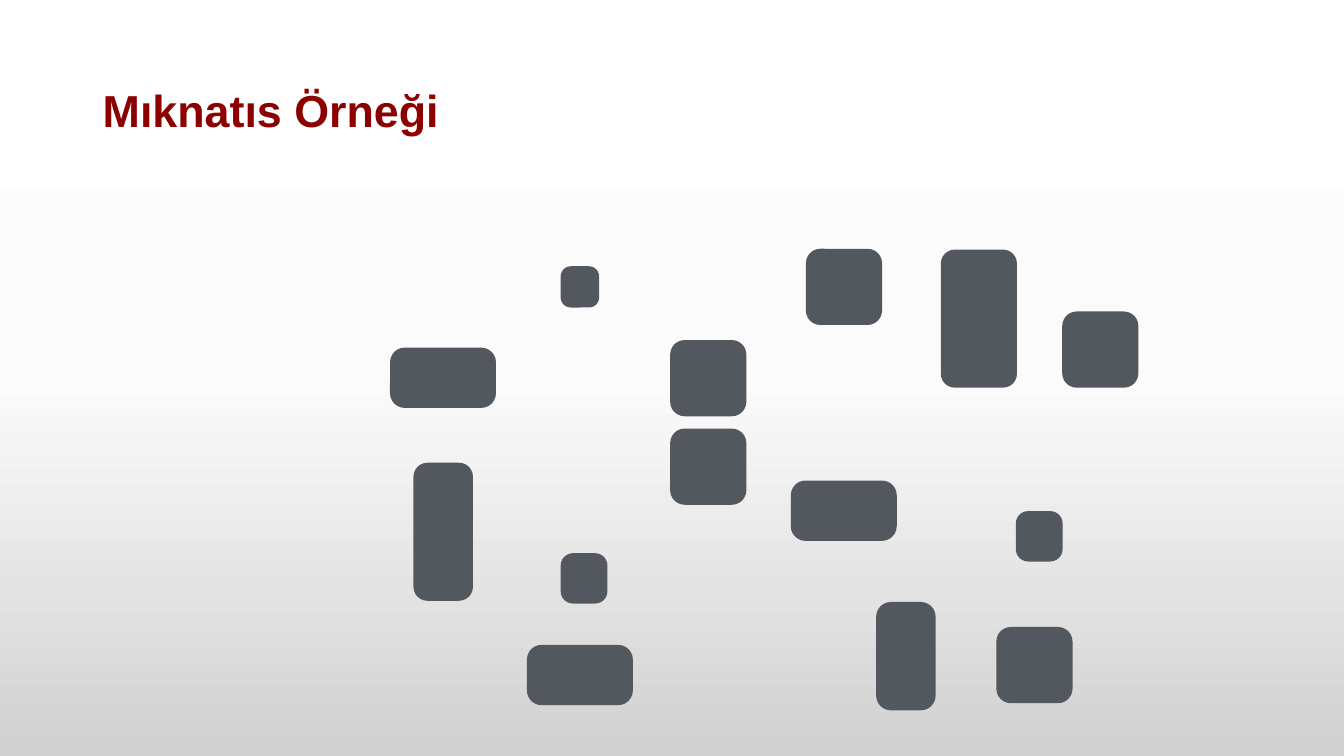
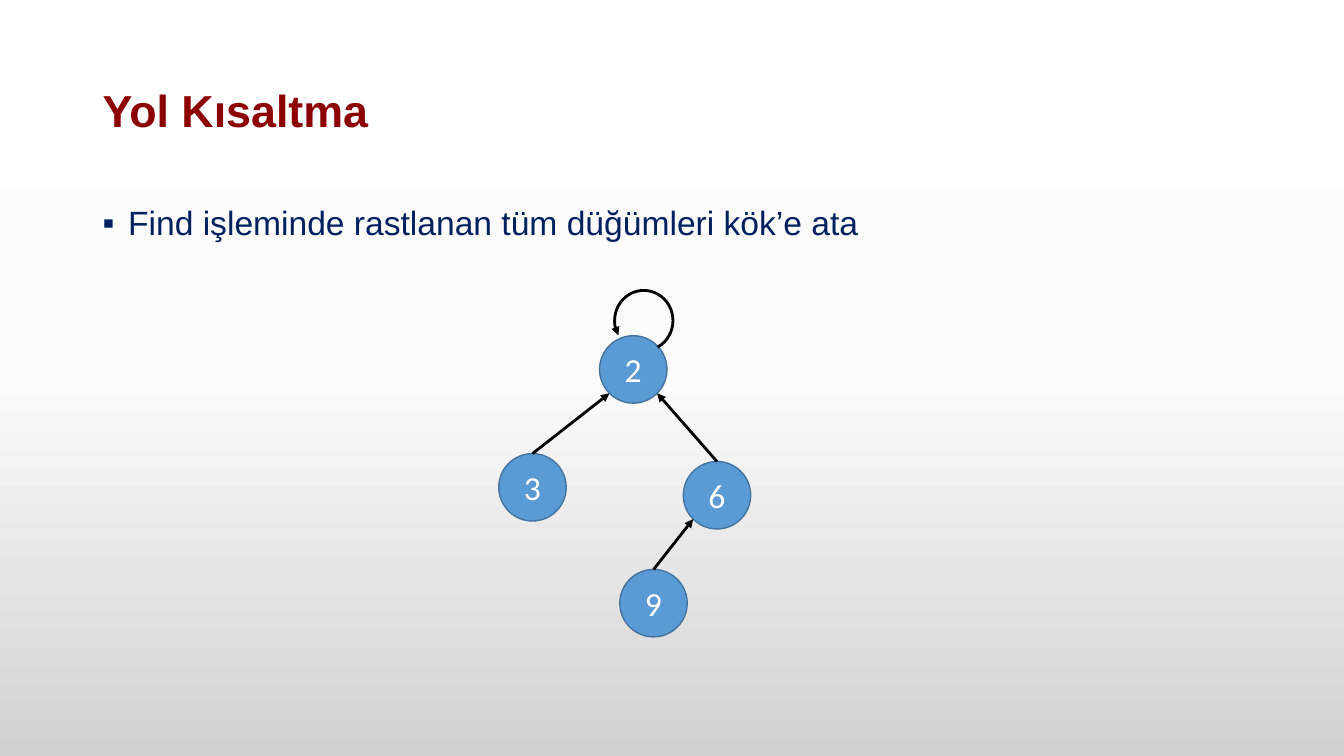
import copy
import math

import lxml.etree
import pptx
import pptx.dml.color
import pptx.enum.shapes
import pptx.enum.text
import pptx.oxml.ns
import pptx.util

Cm = pptx.util.Cm
Pt = pptx.util.Pt
qn = pptx.oxml.ns.qn
SHAPES = pptx.enum.shapes.MSO_SHAPE
ALIGN = pptx.enum.text.PP_ALIGN
ANCHOR = pptx.enum.text.MSO_ANCHOR

COLORS = {
    "title": "8C0000",
    "body": "002060",
    "magnet": "53585F",
    "node": "5B9BD5",
    "node_edge": "43739E",
    "node_text": "FFFFFF",
    "arrow": "000000",
}
BACKGROUND = [(0, "FFFFFF"), (0.5, "FBFBFB"), (1, "D1D1D1")]

TITLE_FONT = {"name": "Arial", "size": Pt(32), "bold": True}
BODY_FONT = {"name": "Arial", "size": Pt(24)}
NODE_FONT = {"name": "Calibri", "size": Pt(24)}

LEFT, TEXT_WIDTH = 2.34, 29.21

MAGNETS = [
    (2.67, 1.52, 0.244, [(13.28, 16.25), (19.93, 12.11), (9.83, 8.76)]),
    (1.92, 1.92, 0.19, [(16.89, 10.8), (16.89, 8.57), (25.11, 15.8), (26.77, 7.85), (20.31, 6.27)]),
    (1.92, 3.48, 0.184, [(23.71, 6.29)]),
    (1.5, 3.48, 0.236, [(10.42, 11.66)]),
    (1.5, 2.73, 0.248, [(22.08, 15.17)]),
    (0.97, 1.04, 0.264, [(14.13, 6.71)]),
    (1.18, 1.27, 0.264, [(25.6, 12.88), (14.13, 13.94)]),
]

NODE_SIZE = 1.7
NODES = {"2": (15.11, 8.46), "3": (12.57, 11.43), "6": (17.22, 11.63), "9": (15.62, 14.35)}
EDGES = [("3", "2"), ("6", "2"), ("9", "6")]


def rgb(name):
    return pptx.dml.color.RGBColor.from_string(COLORS[name])


def set_values(target, values):
    for name, value in values.items():
        setattr(target, name, value)


def paint_background(master):
    fill = master.background.fill
    fill.gradient()
    fill.gradient_angle = 270
    stop_list = master.element.find(".//" + qn("p:bg")).find(".//" + qn("a:gsLst"))
    stop_list.append(copy.deepcopy(stop_list[-1]))
    for stop, (position, color) in zip(fill.gradient_stops, BACKGROUND):
        stop.position = position
        stop.color.rgb = pptx.dml.color.RGBColor.from_string(color)


def write_text(frame, text, font, color, **paragraph_format):
    para = frame.paragraphs[0]
    set_values(para, paragraph_format)
    span = para.add_run()
    span.text = text
    set_values(span.font, font)
    span.font.color.rgb = rgb(color)
    return para


def add_text(page, top, height, anchor, text, font, color, **paragraph_format):
    box = page.shapes.add_textbox(Cm(LEFT), Cm(top), Cm(TEXT_WIDTH), Cm(height))
    set_values(box.text_frame, {"word_wrap": True, "vertical_anchor": anchor})
    return write_text(box.text_frame, text, font, color, line_spacing=0.9, **paragraph_format)


def add_bullet(para):
    properties = para._p.get_or_add_pPr()
    indent = Cm(0.64)
    properties.set("marL", str(indent))
    properties.set("indent", str(-indent))
    lxml.etree.SubElement(properties, qn("a:buFont"), typeface="Arial")
    lxml.etree.SubElement(properties, qn("a:buChar"), char="▪")


def add_page(deck, title):
    page = deck.slides.add_slide(deck.slide_layouts[6])
    add_text(page, 1.02, 3.68, ANCHOR.MIDDLE, title, TITLE_FONT, "title")
    return page


def add_figure(page, kind, left, top, width, height, fill=None):
    shape = page.shapes.add_shape(kind, Cm(left), Cm(top), Cm(width), Cm(height))
    shape.shadow.inherit = False
    if fill:
        shape.fill.solid()
        shape.fill.fore_color.rgb = rgb(fill)
    else:
        shape.fill.background()
    return shape


def add_magnet(page, left, top, width, height, rounding):
    magnet = add_figure(page, SHAPES.ROUNDED_RECTANGLE, left, top, width, height, "magnet")
    magnet.adjustments[0] = rounding
    magnet.line.fill.background()


def add_node(page, label, left, top):
    node = add_figure(page, SHAPES.OVAL, left, top, NODE_SIZE, NODE_SIZE, "node")
    node.line.color.rgb = rgb("node_edge")
    node.line.width = Pt(1)
    node.text_frame.vertical_anchor = ANCHOR.MIDDLE
    write_text(node.text_frame, label, NODE_FONT, "node_text", alignment=ALIGN.CENTER)
    return node


def style_arrow(arrow):
    arrow.line.color.rgb = rgb("arrow")
    arrow.line.width = Pt(2)
    outline = arrow.element.spPr.find(qn("a:ln"))
    lxml.etree.SubElement(outline, qn("a:tailEnd"), type="triangle")


def add_edge(page, child, parent):
    radius = parent.width / 2
    reach = radius * math.sqrt(0.5)
    start_x = child.left + child.width // 2
    center_x, center_y = parent.left + radius, parent.top + radius
    from_left = start_x < center_x
    end_x = center_x - reach if from_left else center_x + reach
    edge = page.shapes.add_connector(
        pptx.enum.shapes.MSO_CONNECTOR.STRAIGHT,
        start_x, child.top, int(end_x), int(center_y + reach),
    )
    edge.begin_connect(child, 0)
    links = edge.element.find(".//" + qn("p:cNvCxnSpPr"))
    lxml.etree.SubElement(
        links, qn("a:endCxn"), id=str(parent.shape_id), idx="3" if from_left else "5"
    )
    style_arrow(edge)
    lxml.etree.SubElement(edge.element.spPr, qn("a:effectLst"))


def add_self_loop(page, left, top, width, height):
    loop = add_figure(page, SHAPES.ARC, left, top, width, height)
    loop.adjustments[0] = 70.44
    loop.adjustments[1] = 18.13
    loop.element.spPr.find(qn("a:xfrm")).set("flipH", "1")
    style_arrow(loop)


def build_magnet_page(deck):
    page = add_page(deck, "Mıknatıs Örneği")
    for width, height, rounding, places in MAGNETS:
        for left, top in places:
            add_magnet(page, left, top, width, height, rounding)


def build_path_page(deck):
    page = add_page(deck, "Yol Kısaltma")
    para = add_text(
        page, 5.08, 12.09, ANCHOR.TOP, "Find işleminde rastlanan tüm düğümleri kök’e ata",
        BODY_FONT, "body", alignment=ALIGN.JUSTIFY,
    )
    add_bullet(para)
    nodes = {label: add_node(page, label, *place) for label, place in NODES.items()}
    for child, parent in EDGES:
        add_edge(page, nodes[child], nodes[parent])
    add_self_loop(page, 15.49, 7.32, 1.47, 1.52)


def main():
    deck = pptx.Presentation()
    set_values(deck, {"slide_width": Cm(33.87), "slide_height": Cm(19.05)})
    paint_background(deck.slide_master)
    build_magnet_page(deck)
    build_path_page(deck)
    deck.save("out.pptx")


if __name__ == "__main__":
    main()
